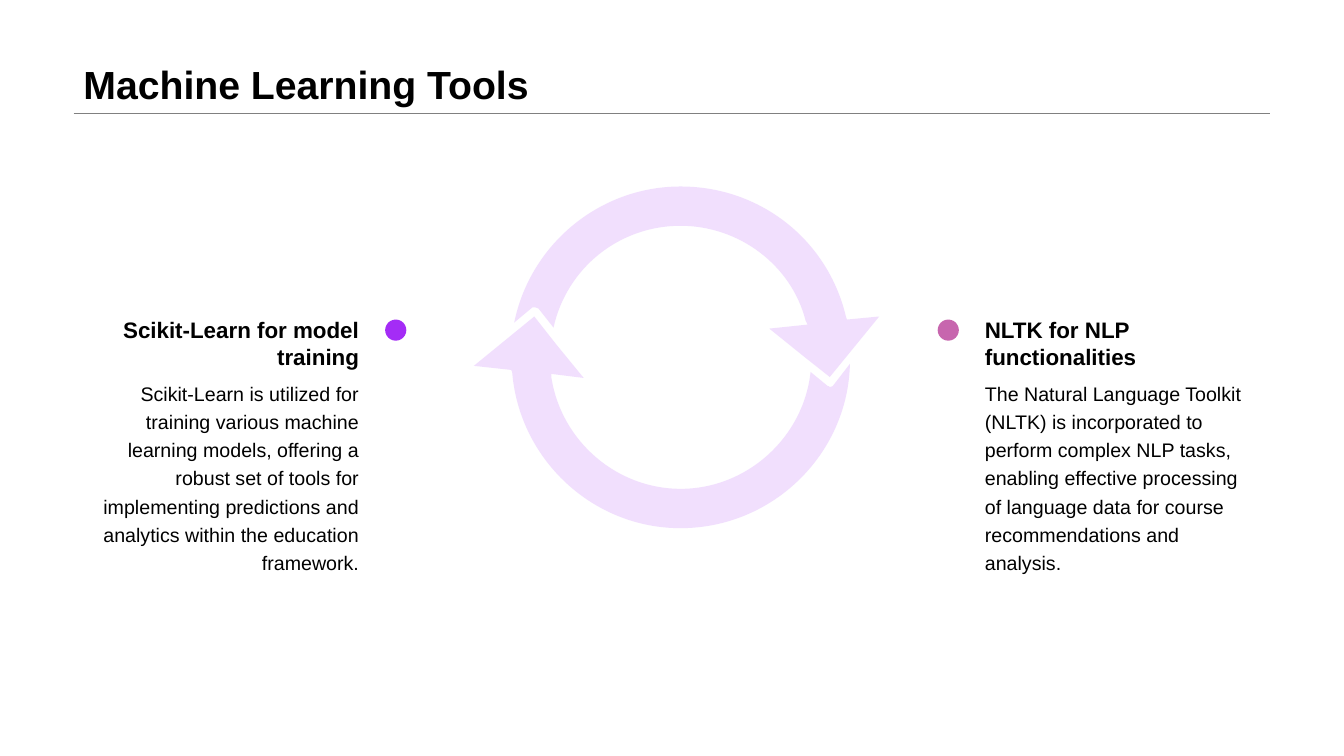
from dataclasses import dataclass

from lxml import etree
from pptx import Presentation
from pptx.dml.color import RGBColor
from pptx.enum.shapes import MSO_CONNECTOR, MSO_SHAPE
from pptx.enum.text import MSO_ANCHOR, MSO_AUTO_SIZE, PP_ALIGN
from pptx.oxml.ns import qn
from pptx.util import Inches, Pt

LEFT, RIGHT = PP_ALIGN.LEFT, PP_ALIGN.RIGHT
TOP, BOTTOM = MSO_ANCHOR.TOP, MSO_ANCHOR.BOTTOM
GROW, FIXED = MSO_AUTO_SIZE.SHAPE_TO_FIT_TEXT, MSO_AUTO_SIZE.NONE
STRAIGHT, OVAL = MSO_CONNECTOR.STRAIGHT, MSO_SHAPE.OVAL


@dataclass(frozen=True)
class Theme:
    font: str = "Arial"
    text: RGBColor = RGBColor(0, 0, 0)
    rule: RGBColor = RGBColor(0x80, 0x80, 0x80)
    purple: RGBColor = RGBColor(0xA4, 0x2C, 0xF6)
    pink: RGBColor = RGBColor(0xC7, 0x66, 0xAE)
    arrow_opacity: int = 15
    title_size: Pt = Pt(28)
    heading_size: Pt = Pt(16)
    body_size: Pt = Pt(14)


theme = Theme()
presentation = Presentation()
presentation.slide_width = Inches(13.33)
presentation.slide_height = Inches(7.5)
slide = presentation.slides.add_slide(presentation.slide_layouts[6])


def add_text(text, box, size, bold=False, align=LEFT, spacing=1.0, anchor=TOP, fit=GROW):
    shape = slide.shapes.add_textbox(*map(Inches, box))
    frame = shape.text_frame
    paragraph = frame.paragraphs[0]
    paragraph.text = text
    formats = {
        frame: {"word_wrap": True, "auto_size": fit, "vertical_anchor": anchor},
        paragraph: {"alignment": align, "line_spacing": spacing},
        paragraph.runs[0].font: {"name": theme.font, "size": size, "bold": bold},
    }
    for target, values in formats.items():
        for name, value in values.items():
            setattr(target, name, value)
    paragraph.runs[0].font.color.rgb = theme.text


def add_outline(start, steps):
    """Draw a closed outline; a step is a line end (2 numbers) or a Bezier curve (6)."""
    builder = slide.shapes.build_freeform(Inches(start[0]), Inches(start[1]))
    builder.add_line_segments([(Inches(step[-2]), Inches(step[-1])) for step in steps], close=True)
    shape = builder.convert_to_shape()
    segments = list(shape.element.iter(qn("a:lnTo")))
    for segment, step in zip(segments, steps):
        if len(step) == 6:
            curve = etree.Element(qn("a:cubicBezTo"))
            for x, y in zip(step[::2], step[1::2]):
                etree.SubElement(curve, qn("a:pt"), x=str(Inches(x) - shape.left),
                                 y=str(Inches(y) - shape.top))
            segment.getparent().replace(segment, curve)
    return shape


# Title and rule
rule = slide.shapes.add_connector(STRAIGHT, Inches(0.73), Inches(1.12),
                                  Inches(12.6), Inches(1.12))
rule.line.color.rgb = theme.rule
rule.line.width = Pt(0.25)
etree.SubElement(rule.element.spPr, qn("a:effectLst"))
add_text("Machine Learning Tools", (0.73, 0, 11.87, 1.12), theme.title_size,
         bold=True, spacing=0.9, anchor=BOTTOM, fit=FIXED)

# Tool descriptions on both sides of the cycle
tools = [
    ("NLTK for NLP functionalities",
     "The Natural Language Toolkit (NLTK) is incorporated to perform complex NLP tasks, "
     "enabling effective processing of language data for course recommendations and analysis.",
     9.67, 9.3, LEFT, theme.pink),
    ("Scikit-Learn for model training",
     "Scikit-Learn is utilized for training various machine learning models, offering a robust "
     "set of tools for implementing predictions and analytics within the education framework.",
     0.86, 3.82, RIGHT, theme.purple),
]
for heading, body, text_left, dot_left, align, color in tools:
    add_text(heading, (text_left, 3.09, 2.8, 0.37), theme.heading_size, bold=True, align=align)
    add_text(body, (text_left, 3.69, 2.8, 1.28), theme.body_size, align=align, spacing=1.2)
    dot = slide.shapes.add_shape(OVAL, Inches(dot_left), Inches(3.17), Inches(0.21), Inches(0.21))
    dot.shadow.inherit = False
    dot.fill.solid()
    dot.fill.fore_color.rgb = color
    dot.line.fill.background()

# Cycle arrows: start point, then lines and curves
cycle_arrows = [
    ((6.75, 4.85), [
        (6.12, 4.85, 5.57, 4.38, 5.47, 3.75), (5.47, 3.71), (5.79, 3.75), (5.52, 3.42),
        (5.3, 3.14), (4.7, 3.63), (5.07, 3.67), (5.08, 3.69),
        (5.15, 4.56, 5.88, 5.24, 6.75, 5.24), (7.66, 5.24, 8.41, 4.51, 8.43, 3.61),
        (8.26, 3.83), (8.26, 3.83, 8.24, 3.84, 8.23, 3.84), (8.22, 3.83), (8.21, 3.83),
        (8.04, 3.69), (7.97, 4.34, 7.41, 4.85, 6.75, 4.85)]),
    ((6.75, 2.24), [
        (7.33, 2.24, 7.85, 2.63, 7.99, 3.18), (8.01, 3.22), (7.63, 3.26), (7.99, 3.55),
        (8.23, 3.74), (8.72, 3.14), (8.4, 3.17), (8.39, 3.14),
        (8.21, 2.38, 7.54, 1.85, 6.75, 1.85), (5.95, 1.85, 5.26, 2.42, 5.1, 3.2),
        (5.28, 3.05), (5.29, 3.05, 5.3, 3.05, 5.31, 3.05),
        (5.33, 3.05, 5.33, 3.05, 5.34, 3.06), (5.49, 3.25),
        (5.62, 2.66, 6.14, 2.24, 6.75, 2.24)]),
]
for start, steps in cycle_arrows:
    arrow = add_outline(start, steps)
    arrow.shadow.inherit = False
    arrow.fill.solid()
    arrow.fill.fore_color.rgb = theme.purple
    arrow.line.fill.background()
    fill_color = arrow.element.spPr.find(qn("a:solidFill"))[0]
    etree.SubElement(fill_color, qn("a:alpha"), val=str(theme.arrow_opacity * 1000))

presentation.save("out.pptx")
